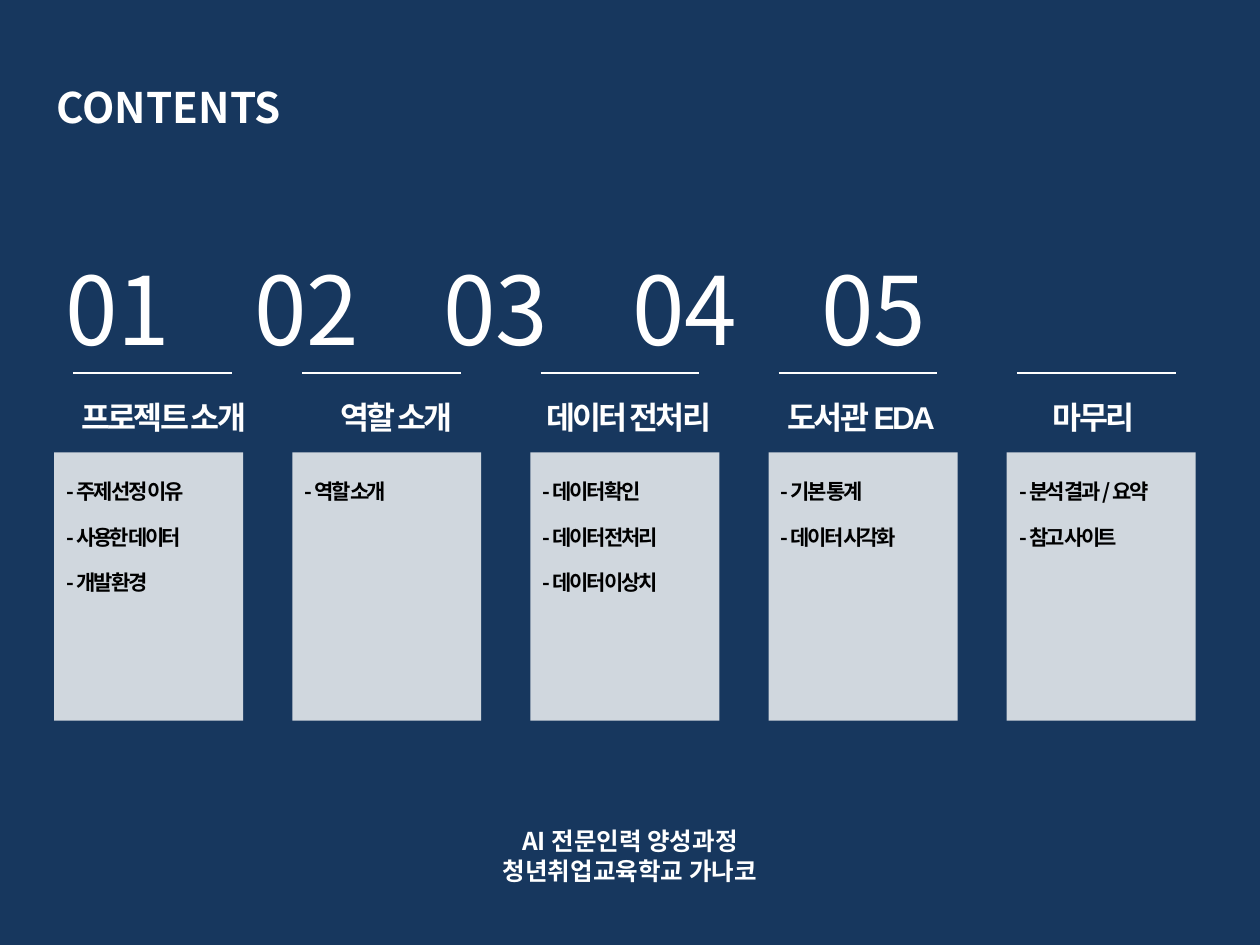
from lxml.etree import SubElement
from pptx import Presentation
from pptx.dml.color import RGBColor
from pptx.enum.shapes import MSO_CONNECTOR, MSO_SHAPE
from pptx.enum.text import MSO_ANCHOR, PP_ALIGN
from pptx.oxml.ns import qn
from pptx.util import Emu, Inches, Pt

# Content
TITLE = "CONTENTS"
SECTIONS = [
    ("01", "프로젝트 소개", ["주제 선정 이유", "사용한 데이터", "개발 환경"]),
    ("02", "역할 소개", ["역할 소개"]),
    ("03", "데이터 전처리", ["데이터 확인", "데이터 전처리", "데이터 이상치"]),
    ("04", "도서관 EDA", ["기본 통계", "데이터 시각화"]),
    ("05", "마무리", ["분석 결과 / 요약", "참고 사이트"]),
]
FOOTER = ["AI 전문인력 양성과정", "청년취업교육학교 가나코"]


class Theme:
    navy, white, black = (RGBColor.from_string(c) for c in ("17375E", "FFFFFF", "000000"))
    sans, latin = "Noto Sans CJK KR", "Arial"
    card_alpha = "80000"
    title = dict(size=Pt(24), bold=True, name=sans)
    number = dict(size=Pt(54), bold=False, name=sans)
    heading = dict(size=Pt(18), bold=True, name=latin)
    item = dict(size=Pt(12), bold=True, name=sans)
    footer = dict(size=Pt(14), bold=True, name=sans)
    tracking = "-150"


# Grid, in inches
CARD_LEFT, CARD_PITCH, CARD_WIDTH = 0.43, 1.89, 1.5
CARD_TOP, CARD_HEIGHT = 3.59, 2.13
NUMBER_PITCH = 1.5
HEADING_CENTRE, HEADING_PITCH, HEADING_WIDTH = 1.3, 1.845, 1.81
RULE_Y, RULE_WIDTH = 2.96, 1.26


def write(shape, lines, style, color, align=PP_ALIGN.LEFT, gap=0, tracking=None):
    frame = shape.text_frame
    frame.word_wrap, frame.vertical_anchor = True, MSO_ANCHOR.TOP
    for index, line in enumerate(lines):
        paragraph = frame.add_paragraph() if index else frame.paragraphs[0]
        paragraph.alignment = align
        paragraph.space_before = Pt(gap if index else 0)
        run = paragraph.add_run()
        run.text = line
        for key, value in style.items():
            setattr(run.font, key, value)
        run.font.color.rgb = color
        properties = run.font._element
        SubElement(properties, qn("a:ea")).set("typeface", Theme.sans)
        if tracking:
            properties.set("spc", tracking)


def add_text(slide, box, *args, **options):
    shape = slide.shapes.add_textbox(*map(Inches, box))
    write(shape, *args, **options)
    return shape


def add_numbers(slide):
    numbers = "\t".join(number for number, _, _ in SECTIONS)
    shape = add_text(slide, (0.42, 1.94, 9.29, 1.01), [numbers], Theme.number, Theme.white)
    properties = shape.text_frame.paragraphs[0]._p.get_or_add_pPr()
    stops = SubElement(properties, qn("a:tabLst"))
    for column in range(1, len(SECTIONS)):
        stop = SubElement(stops, qn("a:tab"))
        stop.set("pos", str(Inches(NUMBER_PITCH * column)))
        stop.set("algn", "l")


def add_rule(slide, left):
    line = slide.shapes.add_connector(
        MSO_CONNECTOR.STRAIGHT, *map(Inches, (left, RULE_Y, left + RULE_WIDTH, RULE_Y)))
    line.line.color.rgb, line.line.width = Theme.white, Pt(0.75)
    SubElement(line._element.spPr, qn("a:effectLst"))


def add_card(slide, left):
    card = slide.shapes.add_shape(
        MSO_SHAPE.RECTANGLE, *map(Inches, (left, CARD_TOP, CARD_WIDTH, CARD_HEIGHT)))
    card.shadow.inherit = False
    card.fill.solid()
    card.fill.fore_color.rgb = Theme.white
    card.line.fill.background()
    color = card._element.spPr.find(qn("a:solidFill"))[0]
    SubElement(color, qn("a:alpha")).set("val", Theme.card_alpha)


def add_section(slide, column, heading, items):
    left = CARD_LEFT + column * CARD_PITCH
    add_rule(slide, left + (0.08 if column else 0.15))
    add_card(slide, left)
    heading_left = HEADING_CENTRE + column * HEADING_PITCH - HEADING_WIDTH / 2
    add_text(slide, (heading_left, 3.11, HEADING_WIDTH, 0.4), [heading], Theme.heading,
             Theme.white, align=PP_ALIGN.CENTER, tracking=Theme.tracking)
    add_text(slide, (left, 3.75, CARD_WIDTH, 1.11), [f"- {item}" for item in items],
             Theme.item, Theme.black, gap=11.5, tracking=Theme.tracking)


def main():
    presentation = Presentation()
    presentation.slide_width, presentation.slide_height = Inches(10), Inches(7.5)
    slide = presentation.slides.add_slide(presentation.slide_layouts[5])
    slide.background.fill.solid()
    slide.background.fill.fore_color.rgb = Theme.navy

    # Title
    title = slide.shapes.title
    title.left, title.top, title.width, title.height = map(Inches, (0.35, 0.6, 4.57, 0.5))
    write(title, [TITLE], Theme.title, Theme.white)

    # Numbered columns
    add_numbers(slide)
    for column, (_, heading, items) in enumerate(SECTIONS):
        add_section(slide, column, heading, items)

    # Footer, centred on the slide
    width = Inches(3.94)
    left = Emu((presentation.slide_width - width) // 2).inches
    add_text(slide, (left, 6.51, width.inches, 0.57), FOOTER, Theme.footer, Theme.white,
             align=PP_ALIGN.CENTER)
    presentation.save("out.pptx")


if __name__ == "__main__":
    main()
